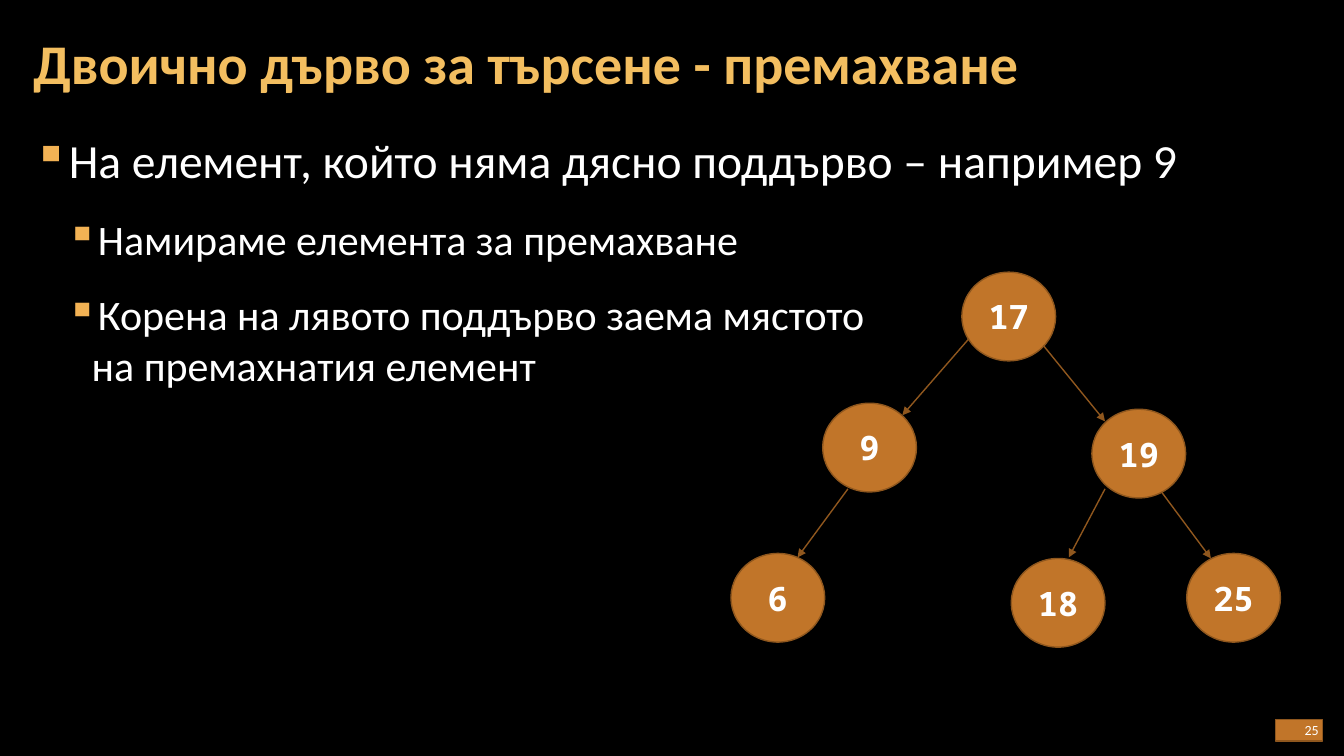
from dataclasses import dataclass

from lxml import etree
from pptx import Presentation
from pptx.dml.color import RGBColor
from pptx.enum.shapes import MSO_CONNECTOR, MSO_SHAPE
from pptx.enum.text import MSO_ANCHOR, MSO_AUTO_SIZE, PP_ALIGN
from pptx.oxml.ns import qn
from pptx.util import Inches, Pt

STRAIGHT = MSO_CONNECTOR.STRAIGHT
OVAL, RECTANGLE = MSO_SHAPE.OVAL, MSO_SHAPE.RECTANGLE
MIDDLE = MSO_ANCHOR.MIDDLE
NO_AUTOFIT = MSO_AUTO_SIZE.NONE
LEFT, CENTER, RIGHT = PP_ALIGN.LEFT, PP_ALIGN.CENTER, PP_ALIGN.RIGHT


@dataclass(frozen=True)
class Theme:
    background: str = "000000"
    text: str = "FFFFFF"
    title: str = "F3BE60"
    bullet: str = "F2B254"
    fill: str = "C17529"
    outline: str = "8F571E"
    font: str = "Calibri"
    node_font: str = "Noto Sans Mono"
    title_size: int = 40
    body_sizes: tuple = (34, 30)
    node_size: int = 24
    number_size: int = 10


THEME = Theme()

STEPS = [
    (0, "На елемент, който няма дясно поддърво – например 9"),
    (1, "Намираме елемента за премахване"),
    (1, "Корена на лявото поддърво заема мястото\nна премахнатия елемент"),
]
STEP_INDENTS = (0.25, 0.58)
HANGING = 0.25

NODE_WIDTH, NODE_HEIGHT = 0.93, 0.88
NODES = {
    "17": (2.29, 0),
    "9": (0.91, 1.3),
    "19": (3.58, 1.36),
    "6": (0, 2.79),
    "18": (2.78, 2.84),
    "25": (4.52, 2.79),
}
BRANCHES = [
    ((2.36, 0.66), (1.7, 1.42)),
    ((3.1, 0.73), (3.71, 1.48)),
    ((1.16, 2.15), (0.66, 2.83)),
    ((3.71, 2.15), (3.35, 2.83)),
    ((4.27, 2.18), (4.76, 2.84)),
]


def color(value):
    return RGBColor.from_string(value)


def style_runs(paragraph, size, ink, font=THEME.font, bold=False):
    for run in paragraph.runs:
        run.font.size = Pt(size)
        run.font.name = font
        run.font.bold = bold
        run.font.color.rgb = color(ink)


def set_frame(frame, side, end):
    frame.word_wrap = True
    frame.auto_size = NO_AUTOFIT
    frame.margin_left = frame.margin_right = Inches(side)
    frame.margin_top = frame.margin_bottom = Inches(end)


def add_bullet(paragraph, indent):
    properties = paragraph._p.get_or_add_pPr()
    properties.set("marL", str(Inches(indent)))
    properties.set("indent", str(-Inches(HANGING)))
    bullet_color = etree.SubElement(properties, qn("a:buClr"))
    etree.SubElement(bullet_color, qn("a:srgbClr"), val=THEME.bullet)
    etree.SubElement(properties, qn("a:buChar"), char="▪")


def place_title(slide, left, top, width, height):
    title = slide.shapes.title
    title.left, title.top = Inches(left), Inches(top)
    title.width, title.height = Inches(width), Inches(height)
    frame = title.text_frame
    frame.text = "Двоично дърво за търсене - премахване"
    set_frame(frame, 0.12, 0.04)
    frame.vertical_anchor = MIDDLE
    heading = frame.paragraphs[0]
    heading.alignment = LEFT
    heading.line_spacing = 0.9
    style_runs(heading, THEME.title_size, THEME.title, bold=True)


def add_steps(slide, left, top, width, height):
    steps = slide.shapes.add_textbox(
        Inches(left), Inches(top), Inches(width), Inches(height))
    frame = steps.text_frame
    set_frame(frame, 0.12, 0.04)
    for index, (level, wording) in enumerate(STEPS):
        step = frame.add_paragraph() if index else frame.paragraphs[0]
        step.text = wording
        step.level = level
        step.space_before, step.space_after = Pt(12), Pt(6)
        add_bullet(step, STEP_INDENTS[level])
        style_runs(step, THEME.body_sizes[level], THEME.text)


def add_badge(slide, geometry, left, top, width, height):
    badge = slide.shapes.add_shape(
        geometry, Inches(left), Inches(top), Inches(width), Inches(height))
    badge.shadow.inherit = False
    badge.fill.solid()
    badge.fill.fore_color.rgb = color(THEME.fill)
    badge.line.color.rgb = color(THEME.outline)
    badge.line.width = Pt(1)
    badge.text_frame.vertical_anchor = MIDDLE
    return badge.text_frame


def add_node(slide, value, left, top):
    frame = add_badge(slide, OVAL, left, top, NODE_WIDTH, NODE_HEIGHT)
    set_frame(frame, 0.1, 0.05)
    frame.text = value
    label = frame.paragraphs[0]
    label.alignment = CENTER
    style_runs(label, THEME.node_size, THEME.text, THEME.node_font, True)


def add_branch(slide, left, top, start, end):
    branch = slide.shapes.add_connector(
        STRAIGHT,
        Inches(left + start[0]), Inches(top + start[1]),
        Inches(left + end[0]), Inches(top + end[1]))
    branch.line.color.rgb = color(THEME.outline)
    branch.line.width = Pt(1)
    etree.SubElement(branch.line._get_or_add_ln(), qn("a:tailEnd"), type="triangle")
    etree.SubElement(branch._element.spPr, qn("a:effectLst"))


def add_search_tree(slide, left, top):
    for value, (x, y) in NODES.items():
        add_node(slide, value, left + x, top + y)
    for start, end in BRANCHES:
        add_branch(slide, left, top, start, end)


def add_page_number(slide, left, top, width, height):
    frame = add_badge(slide, RECTANGLE, left, top, width, height)
    set_frame(frame, 0.04, 0.04)
    frame.text = "25"
    number = frame.paragraphs[0]
    number.alignment = RIGHT
    style_runs(number, THEME.number_size, THEME.text)


def main():
    deck = Presentation()
    deck.slide_width, deck.slide_height = Inches(13.33), Inches(7.5)
    slide = deck.slides.add_slide(deck.slide_layouts.get_by_name("Title Only"))
    slide.background.fill.solid()
    slide.background.fill.fore_color.rgb = color(THEME.background)
    place_title(slide, 0.21, 0.05, 12.91, 1.21)
    add_steps(slide, 0.21, 1.26, 12.91, 6.09)
    add_search_tree(slide, 7.25, 2.7)
    add_page_number(slide, 12.65, 7.14, 0.47, 0.21)
    deck.save("out.pptx")


if __name__ == "__main__":
    main()
